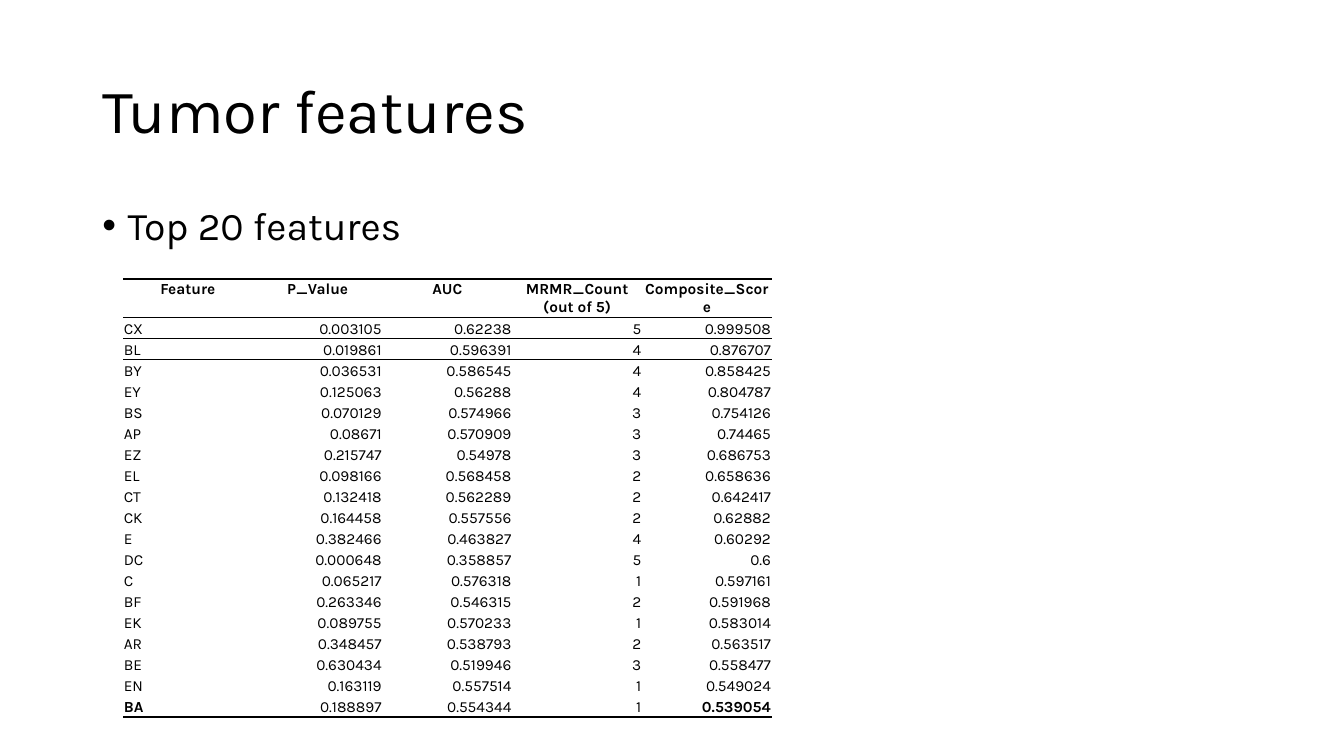
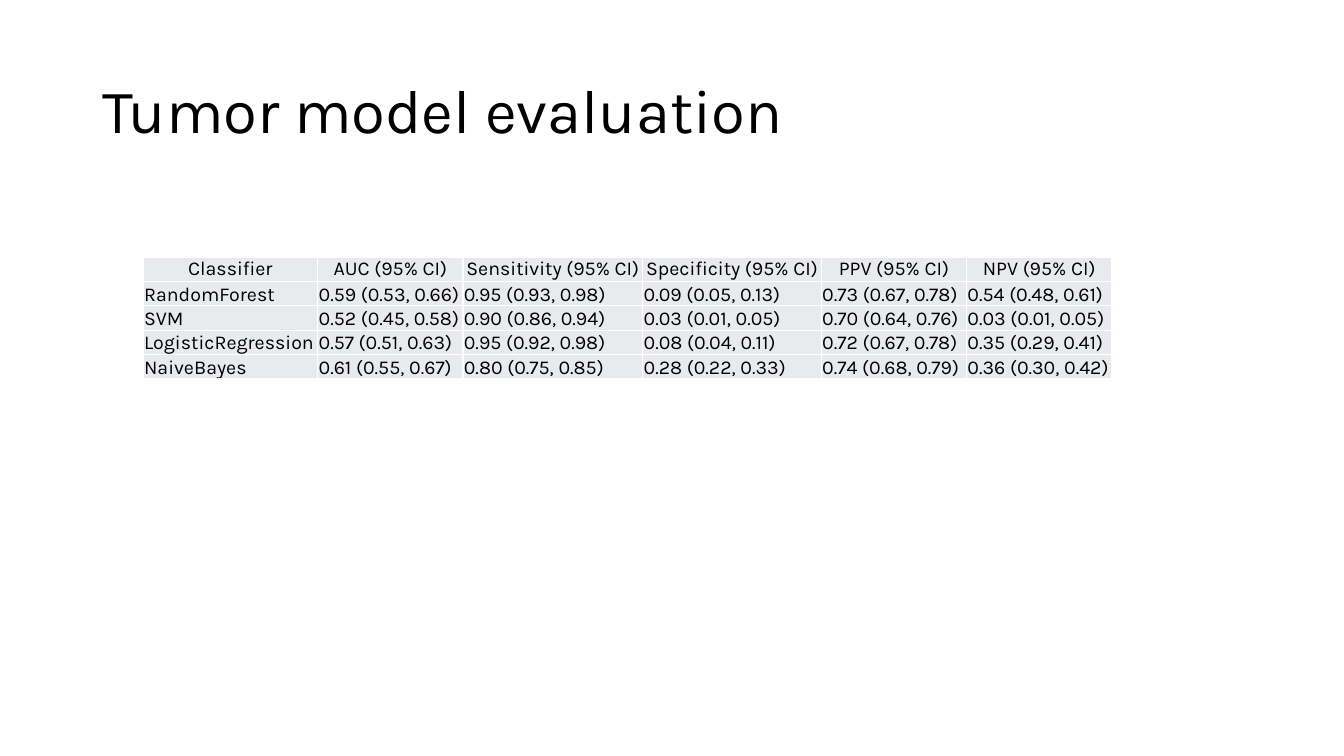
"""Builds two slides: the top tumor features and the evaluation of the models."""
from lxml import etree
from pptx import Presentation
from pptx.dml.color import RGBColor
from pptx.enum import text as t
from pptx.oxml import ns
from pptx.util import Cm, Pt

FONT = "Karla"
BLACK = RGBColor(0, 0, 0)
WHITE = RGBColor(255, 255, 255)
GREY = RGBColor(0xE8, 0xEA, 0xED)
PLAIN = "{2D5ABB26-0587-4C30-8999-92F81FD0307C}"
LEFT, CENTER, RIGHT = t.PP_ALIGN.LEFT, t.PP_ALIGN.CENTER, t.PP_ALIGN.RIGHT

FEATURES = [
    ("Feature", "P_Value", "AUC", "MRMR_Count\n(out of 5)", "Composite_Score"),
    ("CX", "0.003105", "0.62238", "5", "0.999508"),
    ("BL", "0.019861", "0.596391", "4", "0.876707"),
    ("BY", "0.036531", "0.586545", "4", "0.858425"),
    ("EY", "0.125063", "0.56288", "4", "0.804787"),
    ("BS", "0.070129", "0.574966", "3", "0.754126"),
    ("AP", "0.08671", "0.570909", "3", "0.74465"),
    ("EZ", "0.215747", "0.54978", "3", "0.686753"),
    ("EL", "0.098166", "0.568458", "2", "0.658636"),
    ("CT", "0.132418", "0.562289", "2", "0.642417"),
    ("CK", "0.164458", "0.557556", "2", "0.62882"),
    ("E", "0.382466", "0.463827", "4", "0.60292"),
    ("DC", "0.000648", "0.358857", "5", "0.6"),
    ("C", "0.065217", "0.576318", "1", "0.597161"),
    ("BF", "0.263346", "0.546315", "2", "0.591968"),
    ("EK", "0.089755", "0.570233", "1", "0.583014"),
    ("AR", "0.348457", "0.538793", "2", "0.563517"),
    ("BE", "0.630434", "0.519946", "3", "0.558477"),
    ("EN", "0.163119", "0.557514", "1", "0.549024"),
    ("BA", "0.188897", "0.554344", "1", "0.539054"),
]
MODELS = [
    ("Classifier", "AUC (95% CI)", "Sensitivity (95% CI)",
     "Specificity (95% CI)", "PPV (95% CI)", "NPV (95% CI)"),
    ("RandomForest", "0.59 (0.53, 0.66)", "0.95 (0.93, 0.98)",
     "0.09 (0.05, 0.13)", "0.73 (0.67, 0.78)", "0.54 (0.48, 0.61)"),
    ("SVM", "0.52 (0.45, 0.58)", "0.90 (0.86, 0.94)",
     "0.03 (0.01, 0.05)", "0.70 (0.64, 0.76)", "0.03 (0.01, 0.05)"),
    ("LogisticRegression", "0.57 (0.51, 0.63)", "0.95 (0.92, 0.98)",
     "0.08 (0.04, 0.11)", "0.72 (0.67, 0.78)", "0.35 (0.29, 0.41)"),
    ("NaiveBayes", "0.61 (0.55, 0.67)", "0.80 (0.75, 0.85)",
     "0.28 (0.22, 0.33)", "0.74 (0.68, 0.79)", "0.36 (0.30, 0.42)"),
]


def add_text(slide, words, top, height, size, anchor):
    box = slide.shapes.add_textbox(Cm(2.33), Cm(top), Cm(29.21), Cm(height))
    frame = box.text_frame
    frame.word_wrap = True
    frame.vertical_anchor = anchor
    para = frame.paragraphs[0]
    para.text = words
    para.line_spacing = 0.9
    para.font.name, para.font.size = FONT, Pt(size)
    para.font.color.rgb = BLACK
    return para


def add_grid(slide, data, left, top, widths, heights, size, fill, align, lines, ink, sides):
    frame = slide.shapes.add_table(len(data), len(widths), Cm(left), Cm(top),
                                   Cm(sum(widths)), Cm(sum(heights)))
    grid = frame.table
    grid.horz_banding = grid.first_row = False
    frame.element.find(".//" + ns.qn("a:tableStyleId")).text = PLAIN
    for col, width in zip(grid.columns, widths):
        col.width = Cm(width)
    for row, height in zip(grid.rows, heights):
        row.height = Cm(height)
    for r, row in enumerate(data):
        for c, words in enumerate(row):
            cell = grid.cell(r, c)
            cell.text = words
            cell.margin_left = cell.margin_right = cell.margin_top = Cm(0.02)
            cell.margin_bottom = 0
            cell.vertical_anchor = t.MSO_ANCHOR.BOTTOM if r else t.MSO_ANCHOR.TOP
            props = cell._tc.get_or_add_tcPr()
            edges = {"L": sides, "R": sides, "T": lines.get(r), "B": lines.get(r + 1)}
            for side, width in edges.items():
                if width:
                    line = etree.SubElement(props, ns.qn("a:ln" + side), w=str(Pt(width)))
                    paint = etree.SubElement(line, ns.qn("a:solidFill"))
                    etree.SubElement(paint, ns.qn("a:srgbClr"), val=str(ink))
            cell.fill.solid()
            cell.fill.fore_color.rgb = fill
            for para in cell.text_frame.paragraphs:
                para.alignment = CENTER if r == 0 else align if c else LEFT
                para.font.name, para.font.size = FONT, Pt(size)
                para.font.color.rgb = BLACK
    return grid


deck = Presentation()
deck.slide_width, deck.slide_height = Cm(33.87), Cm(19.05)
pages = []
for title in ("Tumor features", "Tumor model evaluation"):
    page = deck.slides.add_slide(deck.slide_layouts[6])
    add_text(page, title, 1.01, 3.68, 44, t.MSO_ANCHOR.MIDDLE)
    pages.append(page)

point = add_text(pages[0], "Top 20 features", 5.08, 12.09, 28, t.MSO_ANCHOR.TOP)
point.space_before = Pt(10)
props = point._p.get_or_add_pPr()
props.set("marL", str(Cm(0.64)))
props.set("indent", str(Cm(-0.64)))
bullet = etree.Element(ns.qn("a:buChar"), char="•")
props.find(ns.qn("a:defRPr")).addprevious(bullet)
bullet.addprevious(etree.Element(ns.qn("a:buFont"), typeface="Arial"))

last = len(FEATURES) - 1
grid = add_grid(pages[0], FEATURES, 3.1, 7.04, [3.27] * 5, [0.93] + [0.53] * last, 11,
                WHITE, RIGHT, {0: 1.5, 1: 1, 2: 1, last + 1: 2}, BLACK, 0)
bold = [(0, c) for c in range(5)] + [(last, 0), (last, 4)]
for r, c in bold:
    for para in grid.cell(r, c).text_frame.paragraphs:
        para.font.bold = True

add_grid(pages[1], MODELS, 3.61, 6.48, [4.4, 3.66, 4.53, 4.5, 3.66, 3.66], [0.6] * 5, 14,
         GREY, LEFT, dict.fromkeys(range(6), 1), WHITE, 1)

deck.save("out.pptx")
